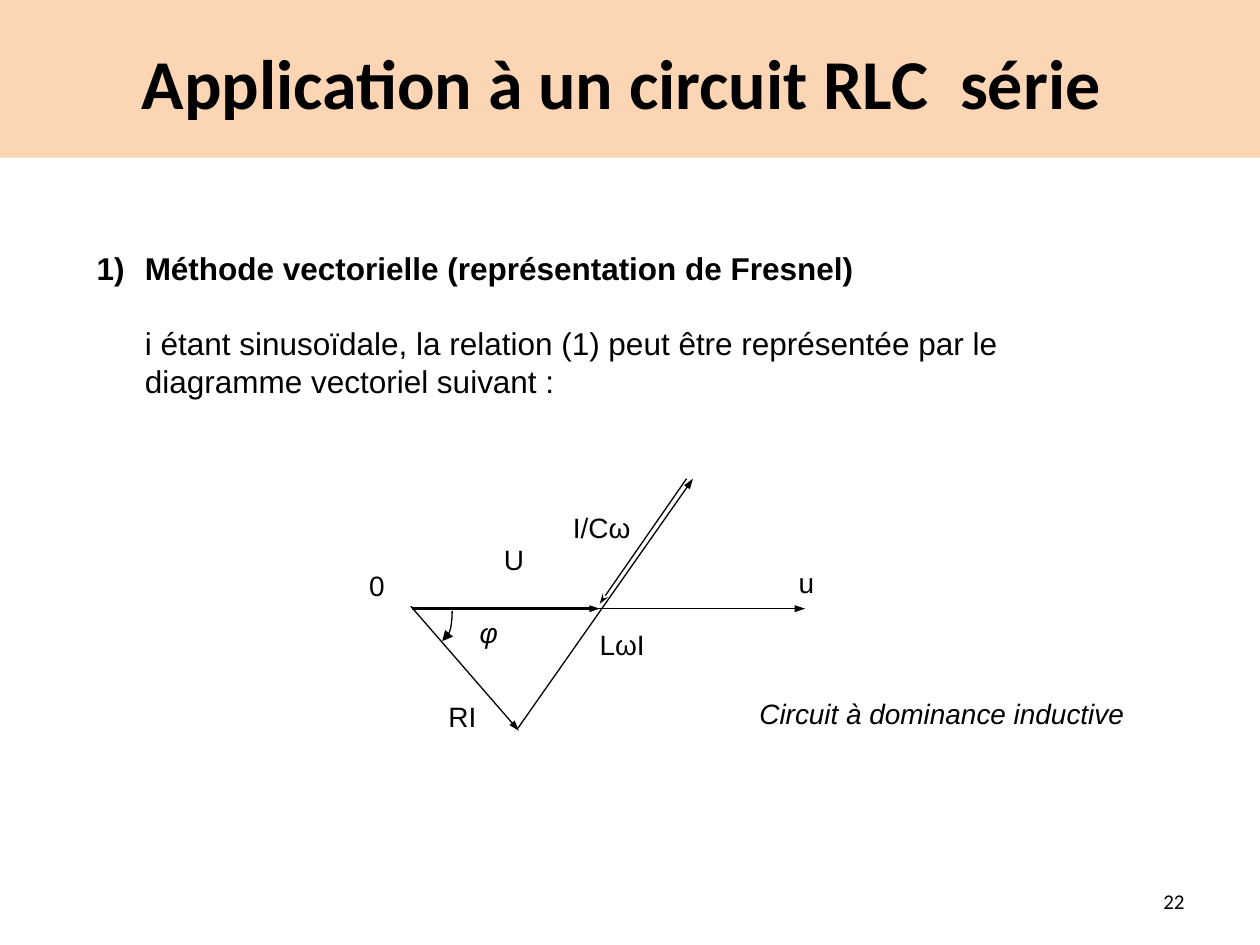
from pptx import Presentation
from pptx.dml.color import RGBColor
from pptx.enum.shapes import MSO_CONNECTOR as Link
from pptx.enum.text import MSO_ANCHOR as Anchor, PP_ALIGN as Align
from pptx.oxml.ns import qn
from pptx.util import Cm, Pt
from lxml.etree import SubElement

BLACK = RGBColor(0, 0, 0)
PEACH = RGBColor(0xFC, 0xD5, 0xB5)

TITLE = [("Application à un circuit RLC  série", 40), (" ", 44)]
HEAD = "Méthode vectorielle (représentation de Fresnel)"
BODY = ("i étant sinusoïdale, la relation (1) peut être représentée par le "
        "diagramme vectoriel suivant\u00a0:")
NOTE = "Circuit à dominance inductive"
PAGE = "22"
HANG = 0.97

AXIS = 12.27  # height of the voltage axis
# start, end, width in points, arrowhead
VECTORS = [
    ((8.28, 12.22), (10.46, 14.73), 0.75, "triangle"),
    ((13.84, 9.65), (12.09, 12.17), 0.75, "stealth"),
    ((8.31, AXIS), (16.23, AXIS), 0.75, "triangle"),
    ((10.44, 14.68), (13.97, 9.65), 0.75, "triangle"),
    ((8.31, AXIS), (12.09, AXIS), 1.5, "triangle"),
]
# text, left, top, width, italic
LABELS = [
    ("U", 9.91, 10.82, 1.3, False),
    ("RI", 8.79, 13.97, 1.88, False),
    ("LωI", 11.84, 12.52, 2.54, False),
    ("I/Cω", 11.3, 10.16, 2.95, False),
    ("φ", 9.42, 12.29, 1.12, True),
    ("0", 7.19, 11.33, 1.3, False),
    ("u", 15.85, 11.28, 1.3, False),
]


def add_run(par, text, size, face="Arial", bold=False, italic=False):
    run = par.add_run()
    run.text = text
    font = run.font
    font.name, font.size = face, Pt(size)
    font.bold, font.italic = bold, italic
    font.color.rgb = BLACK


def add_box(slide, left, top, width, height):
    frame = slide.shapes.add_textbox(
        Cm(left), Cm(top), Cm(width), Cm(height)).text_frame
    frame.word_wrap = True
    return frame


def indent(par, left, first):
    props = par._p.get_or_add_pPr()
    props.set("marL", str(Cm(left)))
    props.set("indent", str(Cm(first)))
    return props


def add_line(slide, start, end, width, head, size="sm", kind=Link.STRAIGHT):
    """Draw a black connector with an arrowhead at its end and no shadow."""
    line = slide.shapes.add_connector(
        kind, *(Cm(v) for v in (*start, *end)))
    line.line.color.rgb = BLACK
    line.line.width = Pt(width)
    SubElement(line.line._get_or_add_ln(), qn("a:tailEnd"),
               type=head, w=size, len="med")
    SubElement(line._element.spPr, qn("a:effectLst"))
    return line


def add_title(slide):
    title = slide.shapes.title
    title.left, title.top = Cm(0), Cm(0)
    title.width, title.height = Cm(25.4), Cm(3.18)
    title.fill.solid()
    title.fill.fore_color.rgb = PEACH
    frame = title.text_frame
    frame.vertical_anchor = Anchor.MIDDLE
    par = frame.paragraphs[0]
    par.alignment = Align.CENTER
    for text, size in TITLE:
        add_run(par, text, size, "Calibri", bold=True)


def add_texts(slide):
    frame = add_box(slide, 1.7, 4.9, 20.17, 3.33)
    par = frame.paragraphs[0]
    props = indent(par, HANG, -HANG)
    SubElement(props, qn("a:buFont"), typeface="+mj-lt")
    SubElement(props, qn("a:buAutoNum"), type="arabicParenR")
    add_run(par, HEAD, 18, bold=True)
    par = frame.add_paragraph()
    indent(par, HANG, 0)
    par.space_before = Pt(21)
    add_run(par, BODY, 18)

    par = add_box(slide, 15.06, 13.92, 8.23, 0.94).paragraphs[0]
    indent(par, HANG, -HANG)
    add_run(par, NOTE, 16, italic=True)

    frame = add_box(slide, 18.21, 17.65, 5.92, 1.02)
    frame.vertical_anchor = Anchor.MIDDLE
    par = frame.paragraphs[0]
    par.alignment = Align.RIGHT
    add_run(par, PAGE, 12, "Calibri")


def add_diagram(slide):
    for vector in VECTORS:
        add_line(slide, *vector)
    for text, left, top, width, italic in LABELS:
        par = add_box(slide, left, top, width, 1.5).paragraphs[0]
        par.space_after = Pt(10)
        add_run(par, text, 16, italic=italic)
    # phase angle: a curve turned by a quarter
    arc = add_line(slide, (8.71, 12.52), (9.32, 12.72), 0.75, "triangle",
                   "med", Link.CURVE)
    shape = arc._element.spPr
    shape.find(qn("a:xfrm")).set("rot", str(90 * 60000))
    guides = shape.find(qn("a:prstGeom")).find(qn("a:avLst"))
    SubElement(guides, qn("a:gd"), name="adj1", fmla="val 79900")


def main():
    deck = Presentation()
    deck.slide_width, deck.slide_height = Cm(25.4), Cm(19.05)
    slide = deck.slides.add_slide(deck.slide_layouts[5])
    add_title(slide)
    add_texts(slide)
    add_diagram(slide)
    deck.save("out.pptx")


if __name__ == "__main__":
    main()
